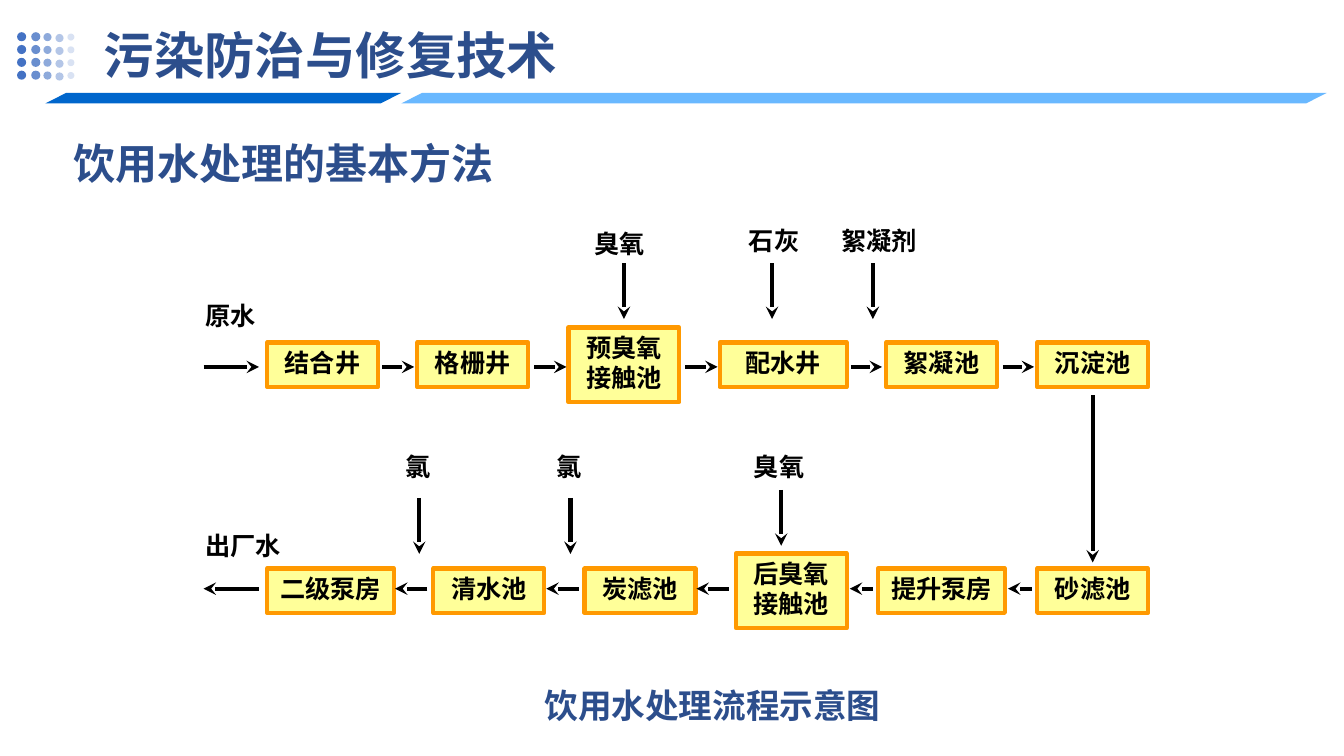
from lxml import etree
from pptx import Presentation
from pptx.dml.color import RGBColor
from pptx.enum.shapes import MSO_CONNECTOR as Connector, MSO_SHAPE as Shape
from pptx.enum.text import MSO_ANCHOR as Anchor, MSO_AUTO_SIZE as AutoSize, PP_ALIGN as Align
from pptx.oxml.ns import qn
from pptx.util import Pt

NAVY = RGBColor(0x2C, 0x4E, 0x8C)
DOT_BLUE = RGBColor(0x44, 0x72, 0xC4)
DEEP_BLUE = RGBColor(0x00, 0x66, 0xCC)
LIGHT_BLUE = RGBColor(0x69, 0xB8, 0xFF)
YELLOW = RGBColor(0xFF, 0xFF, 0x99)
ORANGE = RGBColor(0xFF, 0x99, 0x00)
BLACK = RGBColor(0x00, 0x00, 0x00)

HEADING_FONT = "Arial"
FLOW_FONT = "Times New Roman"
NARROW, WIDE = 79.2, 90.7
SINGLE, DOUBLE = 31.7, 53.3
DOSE_LENGTH = 40

DOT_COLUMNS = [
    (12.2, 23, 6.5, 100),
    (22.3, 23, 6.5, 80),
    (31, 23.6, 5.8, 60),
    (39.6, 24.3, 5.8, 40),
    (48.2, 24, 5, 20),
]
DOT_ROWS, DOT_PITCH = 4, 9.15

FLOW_ROWS = [
    (
        260.6,
        262.1,
        [
            ("结合井", 190.8, NARROW, SINGLE),
            ("格栅井", 298.1, NARROW, SINGLE),
            ("预臭氧接触池", 406.1, NARROW, DOUBLE),
            ("配水井", 514.1, WIDE, SINGLE),
            ("絮凝池", 632.9, NARROW, SINGLE),
            ("沉淀池", 740.9, NARROW, SINGLE),
        ],
        [(145.4, 185), (272.9, 295.9), (381.6, 404.6),
         (489.6, 512.6), (607.7, 630), (716.4, 738.7)],
    ),
    (
        422,
        420.5,
        [
            ("砂滤池", 740.9, NARROW, SINGLE),
            ("提升泵房", 627.1, WIDE, SINGLE),
            ("后臭氧接触池", 525.6, NARROW, DOUBLE),
            ("炭滤池", 417.6, NARROW, SINGLE),
            ("清水池", 309.6, NARROW, SINGLE),
            ("二级泵房", 190.8, WIDE, SINGLE),
        ],
        [(737.3, 720), (623.5, 607), (520.6, 497.5),
         (413.3, 390.2), (305.3, 282.2), (185, 145.4)],
    ),
]

DOSES = [
    ("臭氧", 417.6, 159.8, 56.9, Align.LEFT, 445.7, 187.9),
    ("石灰", 527.8, 157.7, 56.9, Align.LEFT, 551.5, 187.9),
    ("絮凝剂", 594, 157.7, NARROW, Align.LEFT, 623.5, 187.9),
    ("氯", 378, 319, 56.9, Align.CENTER, 407.5, 355.7),
    ("氯", 270, 319, 56.9, Align.CENTER, 299.5, 355.7),
    ("臭氧", 531.4, 319, 56.9, Align.LEFT, 558, 349.9),
]


class FlowPage:
    def __init__(self, page):
        self.shapes = page.shapes

    def set_text(self, shape, text, size, font, color, align):
        frame = shape.text_frame
        frame.text = text
        frame.word_wrap = True
        frame.auto_size = AutoSize.SHAPE_TO_FIT_TEXT
        frame.vertical_anchor = Anchor.TOP
        para = frame.paragraphs[0]
        para.alignment = align
        span = para.runs[0]
        span.font.size = Pt(size)
        span.font.name = font
        span.font.bold = True
        span.font.color.rgb = color
        return frame

    def label(self, text, left, top, width, height=28.8, size=18,
              font=FLOW_FONT, color=BLACK, align=Align.LEFT):
        box = self.shapes.add_textbox(Pt(left), Pt(top), Pt(width), Pt(height))
        return self.set_text(box, text, size, font, color, align)

    def heading(self, text, left, top, width, height, size, align=Align.LEFT):
        return self.label(text, left, top, width, height, size, HEADING_FONT, NAVY, align)

    def shape(self, kind, left, top, width, height, fill):
        shape = self.shapes.add_shape(kind, Pt(left), Pt(top), Pt(width), Pt(height))
        shape.shadow.inherit = False
        shape.fill.solid()
        shape.fill.fore_color.rgb = fill
        shape.line.fill.background()
        return shape

    def dot(self, left, top, size, opacity):
        dot = self.shape(Shape.OVAL, left, top, size, size, DOT_BLUE)
        if opacity < 100:
            color = dot._element.spPr.find(".//" + qn("a:srgbClr"))
            etree.SubElement(color, qn("a:alpha"), val=str(opacity * 1000))

    def ribbon(self, left, width, fill):
        ribbon = self.shape(Shape.PARALLELOGRAM, left, 66.4, width, 7.5, fill)
        ribbon.adjustments[0] = 1.967

    def step(self, text, left, middle, width, height):
        box = self.shape(Shape.RECTANGLE, left, middle - height / 2, width, height, YELLOW)
        box.line.color.rgb = ORANGE
        box.line.width = Pt(3)
        self.set_text(box, text, 18, FLOW_FONT, BLACK, Align.CENTER)

    def arrow(self, x1, y1, x2, y2):
        arrow = self.shapes.add_connector(
            Connector.STRAIGHT, Pt(x1), Pt(y1), Pt(x2), Pt(y2))
        arrow.line.color.rgb = BLACK
        arrow.line.width = Pt(3)
        properties = arrow._element.spPr
        etree.SubElement(properties.find(qn("a:ln")), qn("a:tailEnd"), type="stealth")
        etree.SubElement(properties, qn("a:effectLst"))


def main():
    deck = Presentation()
    deck.slide_width, deck.slide_height = Pt(960), Pt(540)
    page = FlowPage(deck.slides.add_slide(deck.slide_layouts[6]))

    page.heading("污染防治与修复技术", 67, 13.7, 853.9, 51.1, 36)
    for row in range(DOT_ROWS):
        for left, top, size, opacity in DOT_COLUMNS:
            page.dot(left, top + row * DOT_PITCH, size, opacity)
    page.ribbon(32.4, 254.2, DEEP_BLUE)
    page.ribbon(286.6, 661, LIGHT_BLUE)

    subtitle = page.heading("饮用水处理的基本方法", 45.4, 87.8, 319, 46.8, 30)
    subtitle.word_wrap = False
    subtitle.paragraphs[0].line_spacing = 1.2

    for middle, arrow_y, steps, arrows in FLOW_ROWS:
        for text, left, width, height in steps:
            page.step(text, left, middle, width, height)
        for start, end in arrows:
            page.arrow(start, arrow_y, end, arrow_y)
    page.arrow(780.5, 282.2, 780.5, 401.8)

    page.label("原水", 139.7, 211, 56.9)
    page.label("出厂水", 139.7, 375.1, 73.4)
    for text, left, top, width, align, x, y in DOSES:
        page.label(text, left, top, width, align=align)
        page.arrow(x, y, x, y + DOSE_LENGTH)

    page.heading("饮用水处理流程示意图", 149, 486, 720, 36, 24, Align.CENTER)
    deck.save("out.pptx")


if __name__ == "__main__":
    main()
